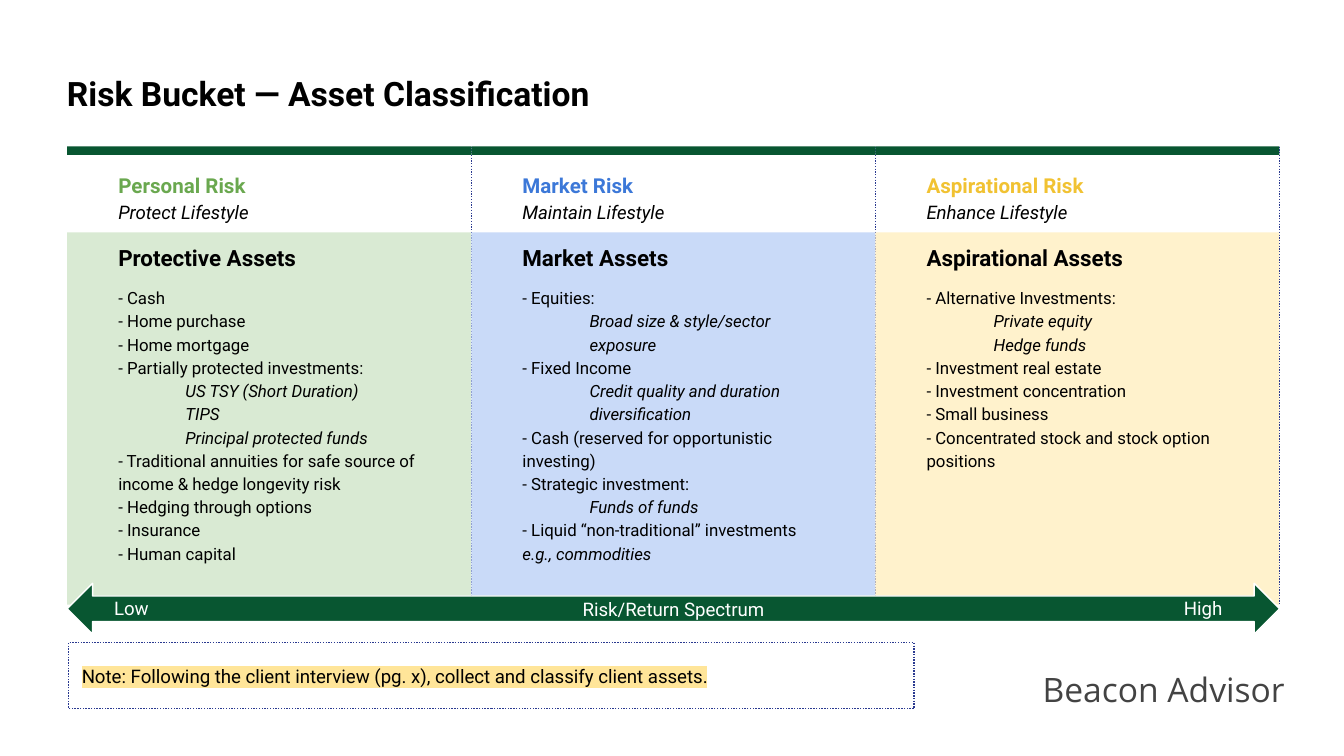
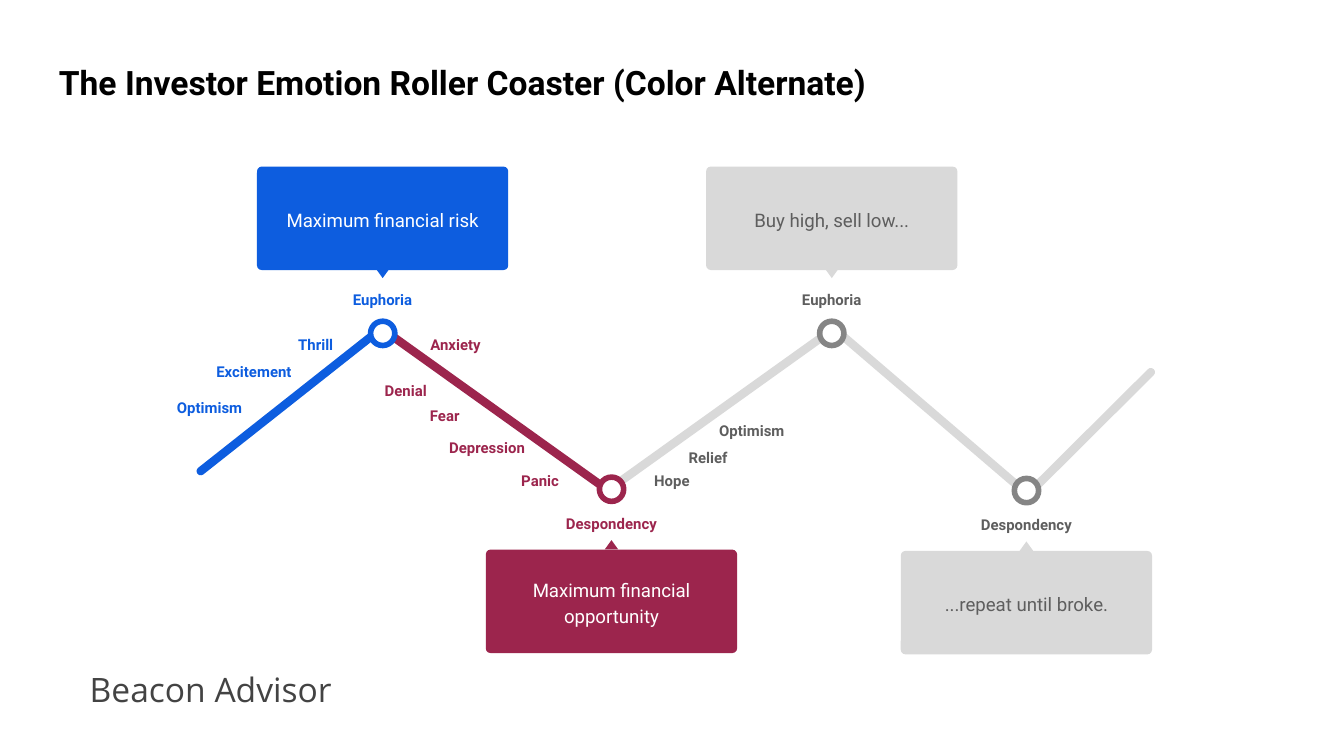
from dataclasses import dataclass
from math import atan2, degrees, hypot
from typing import NamedTuple

from lxml.etree import SubElement
from pptx import Presentation
from pptx.dml.color import RGBColor
from pptx.enum.dml import MSO_LINE as Dash
from pptx.enum.shapes import MSO_CONNECTOR as Connector, MSO_SHAPE as Preset
from pptx.enum.text import MSO_ANCHOR as Anchor, PP_ALIGN as Align
from pptx.oxml import parse_xml
from pptx.oxml.ns import nsdecls, qn
from pptx.util import Pt

BLACK = RGBColor(0x00, 0x00, 0x00)
WHITE = RGBColor(0xFF, 0xFF, 0xFF)
CHARCOAL = RGBColor(0x43, 0x43, 0x43)
FOREST = RGBColor(0x08, 0x56, 0x31)
NAVY = RGBColor(0x2A, 0x39, 0x90)
GREEN = RGBColor(0x6A, 0xA8, 0x4F)
PALE_GREEN = RGBColor(0xD9, 0xEA, 0xD3)
SKY = RGBColor(0x3C, 0x78, 0xD8)
PALE_BLUE = RGBColor(0xC9, 0xDA, 0xF8)
GOLD = RGBColor(0xF1, 0xC2, 0x32)
PALE_GOLD = RGBColor(0xFF, 0xF2, 0xCC)
BLUE = RGBColor(0x0D, 0x5D, 0xDF)
CRIMSON = RGBColor(0x9C, 0x25, 0x4D)
SILVER = RGBColor(0xD9, 0xD9, 0xD9)
GRAY = RGBColor(0x85, 0x85, 0x85)
SLATE = RGBColor(0x5E, 0x5E, 0x5E)
HIGHLIGHT = "FFE599"

INSET = 7.2
LINE_SPACING = 1.15
BUCKET_LEFT, BUCKET_WIDTH, BUCKET_TOP = 36, 216.5, 78.5
BUCKET_INDENT = 20.3
CARD_WIDTH, CARD_HEIGHT = 134.6, 55.4
RING_SIZE = 13
TIP_WIDTH, TIP_HEIGHT = 7.2, 5
TRACK_WIDTH = 4.5
LABEL_WIDTH, LABEL_HEIGHT = 69, 21.6


class Area(NamedTuple):
    left: float
    top: float
    width: float
    height: float

    def lengths(self):
        return [Pt(value) for value in self]


class Item(NamedTuple):
    text: str
    italic: bool = False
    indent: float = 0


class Point(NamedTuple):
    x: float
    y: float


@dataclass
class Bucket:
    risk: str
    aim: str
    assets: str
    accent: RGBColor
    fill: RGBColor
    items: list[Item]


@dataclass
class Track:
    start: Point
    end: Point
    color: RGBColor


@dataclass
class Turn:
    center: Point
    peak: bool
    emotion: str
    message: str
    fill: RGBColor
    ring: RGBColor
    label_color: RGBColor
    text_color: RGBColor


@dataclass
class Emotion:
    text: str
    center: float
    top: float
    color: RGBColor


def detail(text: str) -> Item:
    return Item(text, italic=True, indent=36)


BUCKETS = [
    Bucket("Personal Risk", "Protect Lifestyle", "Protective Assets", GREEN, PALE_GREEN, [
        Item("- Cash"), Item("- Home purchase"), Item("- Home mortgage"),
        Item("- Partially protected investments:"),
        detail("US TSY (Short Duration)"), detail("TIPS"), detail("Principal protected funds"),
        Item("- Traditional annuities for safe source of income & hedge longevity risk"),
        Item("- Hedging through options"), Item("- Insurance"), Item("- Human capital")]),
    Bucket("Market Risk", "Maintain Lifestyle", "Market Assets", SKY, PALE_BLUE, [
        Item("- Equities:"), detail("Broad size & style/sector exposure"),
        Item("- Fixed Income"), detail("Credit quality and duration diversification"),
        Item("- Cash (reserved for opportunistic investing)"),
        Item("- Strategic investment:"), detail("Funds of funds"),
        Item("- Liquid “non-traditional” investments"),
        Item("e.g., commodities", italic=True)]),
    Bucket("Aspirational Risk", "Enhance Lifestyle", "Aspirational Assets", GOLD, PALE_GOLD, [
        Item("- Alternative Investments:"), detail("Private equity"), detail("Hedge funds"),
        Item("- Investment real estate"), Item("- Investment concentration"),
        Item("- Small business"),
        Item("- Concentrated stock and stock option positions")]),
]

TRACKS = [
    Track(Point(105.8, 253.8), Point(205.2, 175.3), BLUE),
    Track(Point(445.3, 174.7), Point(551.9, 266), SILVER),
    Track(Point(323.3, 264.4), Point(448.6, 174.7), SILVER),
    Track(Point(203, 175), Point(327.8, 264.2), CRIMSON),
    Track(Point(549.7, 265.9), Point(618.1, 197.8), SILVER),
]

TURNS = [
    Turn(Point(327.6, 262.1), False, "Despondency", "Maximum financial opportunity",
         CRIMSON, CRIMSON, CRIMSON, WHITE),
    Turn(Point(205, 178.6), True, "Euphoria", "Maximum financial risk",
         BLUE, BLUE, BLUE, WHITE),
    Turn(Point(445.6, 178.6), True, "Euphoria", "Buy high, sell low...",
         SILVER, GRAY, SLATE, SLATE),
    Turn(Point(549.9, 262.8), False, "Despondency", "...repeat until broke.",
         SILVER, GRAY, SLATE, SLATE),
]

EMOTIONS = [
    Emotion("Optimism", 112.3, 206.6, BLUE),
    Emotion("Excitement", 136.1, 187.2, BLUE),
    Emotion("Thrill", 169.2, 172.8, BLUE),
    Emotion("Anxiety", 244.1, 172.8, CRIMSON),
    Emotion("Denial", 217.4, 197.3, CRIMSON),
    Emotion("Fear", 238.3, 211, CRIMSON),
    Emotion("Depression", 261, 228.2, CRIMSON),
    Emotion("Panic", 289.4, 245.5, CRIMSON),
    Emotion("Hope", 360, 245.7, SLATE),
    Emotion("Relief", 379.4, 233.4, SLATE),
    Emotion("Optimism", 402.8, 218.9, SLATE),
]


def write(box, text: str, *, size: float, color=BLACK, font="Roboto", bold=False, italic=False,
          align=Align.LEFT, spacing=1.0, indent=0.0, highlight=None) -> None:
    frame = box.text_frame
    para = frame.paragraphs[0]
    if para.runs:
        para = frame.add_paragraph()
    para.alignment = align
    para.line_spacing = spacing
    if indent:
        para._p.get_or_add_pPr().set("marL", str(Pt(indent)))
    span = para.add_run()
    span.text = text
    span.font.size = Pt(size)
    span.font.bold = bold
    span.font.italic = italic
    span.font.color.rgb = color
    span.font.name = font
    if highlight:
        mark = parse_xml(f'<a:highlight {nsdecls("a")}><a:srgbClr val="{highlight}"/></a:highlight>')
        span._r.rPr.find(qn("a:solidFill")).addnext(mark)


def prepare_frame(box, anchor) -> None:
    frame = box.text_frame
    frame.word_wrap = True
    frame.vertical_anchor = anchor
    frame.margin_left = frame.margin_right = Pt(INSET)
    frame.margin_top = frame.margin_bottom = Pt(INSET)


def add_text_box(page, area: Area, text: str, *, anchor=Anchor.TOP, **text_format):
    box = page.shapes.add_textbox(*area.lengths())
    prepare_frame(box, anchor)
    write(box, text, **text_format)
    return box


def add_preset(page, preset, area: Area, *, fill=None, line=None, line_width=0.75,
               dash=None, rotation=0.0, adjust=None):
    shape = page.shapes.add_shape(preset, *area.lengths())
    shape.shadow.inherit = False
    shape.rotation = rotation % 360
    if adjust is not None:
        shape.adjustments[0] = adjust
    if fill is None:
        shape.fill.background()
    else:
        shape.fill.solid()
        shape.fill.fore_color.rgb = fill
    if line is None:
        shape.line.fill.background()
    else:
        shape.line.color.rgb = line
        shape.line.width = Pt(line_width)
        if dash:
            shape.line.dash_style = dash
    prepare_frame(shape, Anchor.MIDDLE)
    return shape


def add_divider(page, x: float) -> None:
    divider = page.shapes.add_connector(
        Connector.STRAIGHT, Pt(x), Pt(BUCKET_TOP), Pt(x), Pt(323.3))
    divider.line.color.rgb = NAVY
    divider.line.width = Pt(0.75)
    divider.line.dash_style = Dash.ROUND_DOT
    SubElement(divider._element.spPr, qn("a:effectLst"))


def add_page(deck, title: str, title_left: float, title_top: float, footer_left: float):
    page = deck.slides.add_slide(deck.slide_layouts[6])
    add_text_box(page, Area(title_left, title_top, 625.7, 35), title, size=18, bold=True)
    add_text_box(page, Area(footer_left, 351.4, 160, 39.6), "Beacon Advisor",
                 size=18, color=CHARCOAL, font="Open Sans")
    return page


def add_bucket(page, bucket: Bucket, left: float) -> None:
    text_left = left + BUCKET_INDENT
    add_preset(page, Preset.RECTANGLE, Area(left, 124.5, BUCKET_WIDTH, 199.5), fill=bucket.fill)
    add_preset(page, Preset.RECTANGLE, Area(left, BUCKET_TOP, BUCKET_WIDTH, 4.6), fill=FOREST)
    heading = add_text_box(page, Area(text_left, 83.5, 136, 22.3), bucket.risk, size=11,
                           color=bucket.accent, bold=True, spacing=LINE_SPACING)
    write(heading, bucket.aim, size=10, italic=True, spacing=LINE_SPACING)
    add_text_box(page, Area(text_left, 123.8, 175.7, 28.8), bucket.assets, size=12, bold=True)
    first, *rest = bucket.items
    listing = add_text_box(page, Area(text_left, 145.4, 175.7, 85.7), first.text, size=9,
                           spacing=LINE_SPACING)
    for item in rest:
        write(listing, item.text, size=9, italic=item.italic, indent=item.indent,
              spacing=LINE_SPACING)
    add_divider(page, left + BUCKET_WIDTH)


def add_track(page, track: Track) -> None:
    run, rise = track.end.x - track.start.x, track.end.y - track.start.y
    length = hypot(run, rise)
    area = Area((track.start.x + track.end.x - length) / 2,
                (track.start.y + track.end.y - TRACK_WIDTH) / 2, length, TRACK_WIDTH)
    add_preset(page, Preset.ROUNDED_RECTANGLE, area, fill=track.color,
               rotation=degrees(atan2(rise, run)), adjust=0.5)


def add_emotion(page, emotion: Emotion) -> None:
    area = Area(emotion.center - LABEL_WIDTH / 2, emotion.top, LABEL_WIDTH, LABEL_HEIGHT)
    add_text_box(page, area, emotion.text, size=8, color=emotion.color, bold=True,
                 align=Align.CENTER, spacing=LINE_SPACING)


def add_turn(page, turn: Turn) -> None:
    x, y = turn.center
    label_shift, tip_shift, card_shift = (-29.6, -34.6, -89.3) if turn.peak else (6.5, 27.3, 32.4)
    add_preset(page, Preset.OVAL,
               Area(x - RING_SIZE / 2, y - RING_SIZE / 2, RING_SIZE, RING_SIZE),
               fill=WHITE, line=turn.ring, line_width=3)
    card = add_preset(page, Preset.ROUNDED_RECTANGLE,
                      Area(x - CARD_WIDTH / 2, y + card_shift, CARD_WIDTH, CARD_HEIGHT),
                      fill=turn.fill, adjust=0.045)
    write(card, turn.message, size=10, color=turn.text_color, align=Align.CENTER,
          spacing=LINE_SPACING)
    add_preset(page, Preset.ISOSCELES_TRIANGLE,
               Area(x - TIP_WIDTH / 2, y + tip_shift, TIP_WIDTH, TIP_HEIGHT),
               fill=turn.fill, rotation=180 if turn.peak else 0)
    add_emotion(page, Emotion(turn.emotion, x, y + label_shift, turn.label_color))


def build_risk_buckets(deck) -> None:
    page = add_page(deck, "Risk Bucket —\u00a0Asset Classification", 28.8, 31.7, 551.5)
    for index, bucket in enumerate(BUCKETS):
        add_bucket(page, bucket, BUCKET_LEFT + index * BUCKET_WIDTH)
    note = add_preset(page, Preset.RECTANGLE, Area(36.7, 344.3, 453, 35.3),
                      line=NAVY, dash=Dash.ROUND_DOT)
    write(note, "Note: Following the client interview (pg. x), collect and classify client assets.",
          size=10, highlight=HIGHLIGHT)
    spectrum = add_preset(page, Preset.LEFT_RIGHT_ARROW,
                          Area(BUCKET_LEFT, 312.5, BUCKET_WIDTH * len(BUCKETS), 27.3),
                          fill=FOREST, line=WHITE)
    write(spectrum, "Risk/Return Spectrum", size=10, color=WHITE, align=Align.CENTER)
    for text, left in (("Low", 54), ("High", 627.1)):
        add_text_box(page, Area(left, 319, 60, 13.7), text, anchor=Anchor.MIDDLE,
                     size=10, color=WHITE)


def build_roller_coaster(deck) -> None:
    page = add_page(deck, "The Investor Emotion Roller Coaster (Color Alternate)", 24.5, 25.9, 41)
    for track in TRACKS:
        add_track(page, track)
    for turn in TURNS:
        add_turn(page, turn)
    for emotion in EMOTIONS:
        add_emotion(page, emotion)


def main() -> None:
    deck = Presentation()
    deck.slide_width, deck.slide_height = Pt(720), Pt(405)
    build_risk_buckets(deck)
    build_roller_coaster(deck)
    deck.save("out.pptx")


if __name__ == "__main__":
    main()
